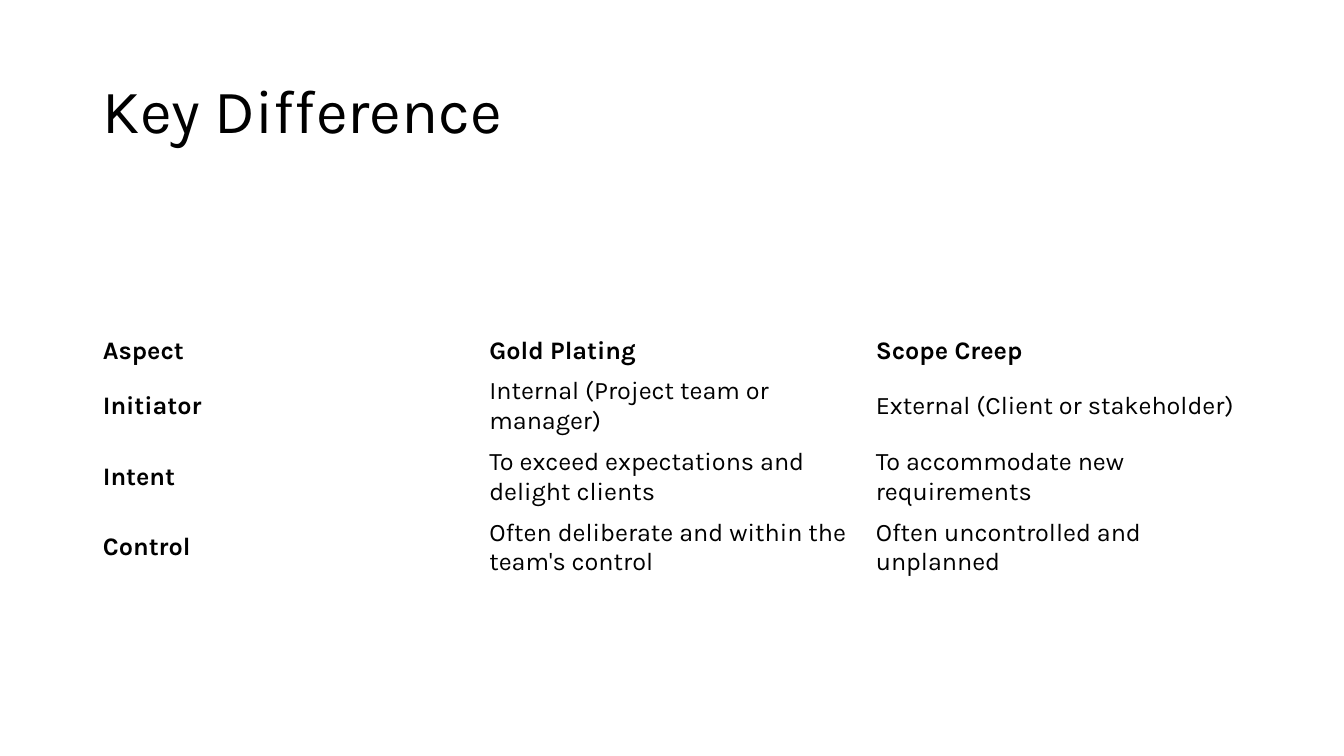
from dataclasses import dataclass

from pptx import Presentation
from pptx.dml.color import RGBColor
from pptx.enum.text import MSO_ANCHOR as Anchor
from pptx.util import Inches, Pt

FONT = "Karla"
BLACK = "000000"
LEFT, WIDTH = 0.92, 11.5


@dataclass
class Row:
    aspect: str
    gold_plating: str
    scope_creep: str
    height: float = 0.69
    header: bool = False


ROWS = [
    Row("Aspect", "Gold Plating", "Scope Creep", 0.39, True),
    Row("Initiator", "Internal (Project team or manager)", "External (Client or stakeholder)"),
    Row("Intent", "To exceed expectations and delight clients", "To accommodate new requirements"),
    Row("Control", "Often deliberate and within the team's control", "Often uncontrolled and unplanned"),
]


def color(value: str) -> RGBColor:
    return RGBColor.from_string(value)


def add_text(p, text: str, size: float, bold: bool = False) -> None:
    r = p.add_run()
    r.text = text
    r.font.name = FONT
    r.font.size = Pt(size)
    r.font.bold = bold
    r.font.color.rgb = color(BLACK)


def add_title(s, text: str) -> None:
    sp = s.shapes.add_textbox(Inches(LEFT), Inches(0.4), Inches(WIDTH), Inches(1.45))
    tf = sp.text_frame
    tf.word_wrap = True
    tf.vertical_anchor = Anchor.MIDDLE
    p = tf.paragraphs[0]
    p.line_spacing = 0.9
    add_text(p, text, 44)


def add_comparison(s, rows: list[Row]) -> None:
    height = sum(row.height for row in rows)
    frame = s.shapes.add_table(len(rows), 3, Inches(LEFT), Inches(3.28), Inches(WIDTH), Inches(height))
    table = frame.table
    table.first_row = False
    table.horz_banding = False
    for i, row in enumerate(rows):
        table.rows[i].height = Inches(row.height)
        for j, text in enumerate((row.aspect, row.gold_plating, row.scope_creep)):
            cell = table.cell(i, j)
            cell.fill.background()
            cell.vertical_anchor = Anchor.MIDDLE
            add_text(cell.text_frame.paragraphs[0], text, 18, row.header or j == 0)


def main() -> None:
    prs = Presentation()
    prs.slide_width = Inches(13.33)
    prs.slide_height = Inches(7.5)
    s = prs.slides.add_slide(prs.slide_layouts[6])
    s.background.fill.solid()
    s.background.fill.fore_color.rgb = color("FFFFFF")
    add_title(s, "Key Difference")
    add_comparison(s, ROWS)
    prs.save("out.pptx")


if __name__ == "__main__":
    main()
